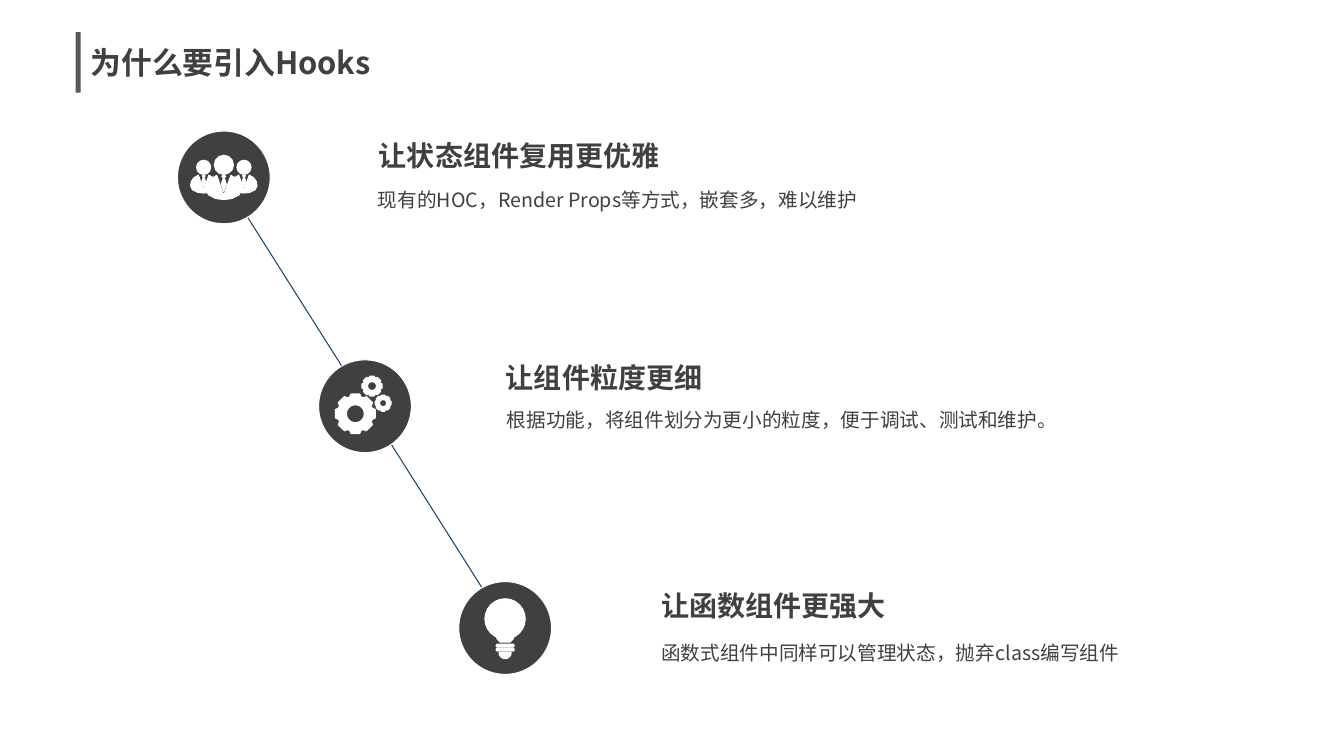
"""Build the slide on why Hooks were introduced: three linked icons with captions."""
from math import cos, pi, radians, sin

from lxml import etree
from pptx import Presentation
from pptx.dml.color import RGBColor
from pptx.enum import shapes, text
from pptx.oxml.ns import qn
from pptx.util import Inches, Pt

FONT = "Noto Sans CJK SC"
DARK = RGBColor(0x40, 0x40, 0x40)
GREY = RGBColor(0x59, 0x59, 0x59)
NAVY = RGBColor(0x1B, 0x43, 0x67)
WHITE = RGBColor(0xFF, 0xFF, 0xFF)
PRESET = shapes.MSO_SHAPE

HEADING = ("为什么要引入Hooks", 0.8, 0.38, 3.05, 0.47)
REASONS = [
    (("让状态组件复用更优雅", 3.66, 1.33, 3.39, 0.44),
     ("现有的HOC，Render Props等方式，嵌套多，难以维护", 3.65, 1.77, 5.59, 0.38)),
    (("让组件粒度更细", 4.92, 3.53, 2.74, 0.44),
     ("根据功能，将组件划分为更小的粒度，便于调试、测试和维护。", 4.93, 3.95, 5.57, 0.38)),
    (("让函数组件更强大", 6.46, 5.79, 3.24, 0.72),
     ("函数式组件中同样可以管理状态，抛弃class编写组件", 6.46, 6.26, 5.57, 0.63)),
]
DISCS = [(2.22, 1.76), (3.62, 4.03), (5.01, 6.23)]
DISC_RADIUS = 0.46
PEOPLE = [(2.22, 1.635, 1), (2.02, 1.66, 0.74), (2.42, 1.66, 0.74)]
HEAD_RADIUS = 0.095
BODY_HALF = [(0, 0.305), (0.07, 0.105), (0.13, 0.14), (0.165, 0.19),
             (0.175, 0.25), (0.15, 0.3), (0.08, 0.335), (0, 0.345)]
KNOT_HALF = [(0, 0.095), (0.02, 0.115), (0, 0.135)]
TIE_HALF = [(0, 0.135), (0.01, 0.145), (0.025, 0.195), (0, 0.265)]
GEARS = [(3.525, 4.105, 0.2), (3.69, 3.83, 0.1), (3.8, 4.0, 0.08)]
TOOTH = [(-18.5, 0.87), (-12, 1), (12, 1), (18.5, 0.87)]
BULB_RADIUS = 0.2
BULB_CENTRE = (5.01, 6.14)
NECK = [(4.92, 6.3), (4.93, 6.34), (4.96, 6.37), (5.06, 6.37), (5.09, 6.34), (5.1, 6.3)]
SCREW_TOPS = [6.39, 6.43]
CAP_CENTRE = (5.01, 6.475)


def paint(shape, fill, line=None, width=0.75):
    """Apply a flat fill and an optional outline."""
    shape.shadow.inherit = False
    shape.fill.solid()
    shape.fill.fore_color.rgb = fill
    if line is None:
        shape.line.fill.background()
    else:
        shape.line.color.rgb = line
        shape.line.width = Pt(width)


def add_text(page, content, size, bold=False, spacing=None, wrap=True):
    """Add a one-paragraph text box."""
    words, *place = content
    box = page.shapes.add_textbox(*map(Inches, place))
    frame = box.text_frame
    frame.word_wrap = wrap
    frame.auto_size = text.MSO_AUTO_SIZE.SHAPE_TO_FIT_TEXT
    para = frame.paragraphs[0]
    para.text = words
    para.line_spacing = spacing
    para.font.size = Pt(size)
    para.font.bold = bold
    para.font.color.rgb = DARK
    para.font.name = FONT
    defaults = para._p.pPr.find(qn("a:defRPr"))
    etree.SubElement(defaults, qn("a:ea"), typeface=FONT)


def add_preset(group, kind, place, fill=WHITE):
    """Add a white-outlined preset shape."""
    shape = group.shapes.add_shape(kind, *map(Inches, place))
    paint(shape, fill, WHITE)
    return shape


def add_circle(group, centre, radius, fill=WHITE):
    """Add a circle around a centre."""
    x, y = centre
    add_preset(group, PRESET.OVAL, (x - radius, y - radius, 2 * radius, 2 * radius), fill)


def add_outline(group, *contours, width=0.75):
    """Add a white outline made of one or more closed contours."""
    builder = None
    for contour in contours:
        start, *rest = [(Inches(x), Inches(y)) for x, y in contour]
        if builder is None:
            builder = group.shapes.build_freeform(*start)
        else:
            builder.move_to(*start)
        builder.add_line_segments(rest, close=True)
    paint(builder.convert_to_shape(), WHITE, WHITE, width)


def arc(centre, radius, sweep, steps):
    """Return points on an arc that starts at the right and runs clockwise."""
    x, y = centre
    angles = [sweep * step / steps for step in range(steps + 1)]
    return [(x + radius * cos(angle), y + radius * sin(angle)) for angle in angles]


def add_person(group, x, y, scale):
    """Draw a head, a body, and a tie with its knot."""
    add_circle(group, (x, y), HEAD_RADIUS * scale)
    for half in (BODY_HALF, KNOT_HALF, TIE_HALF):
        mirrored = half + [(-dx, dy) for dx, dy in half[-2:0:-1]]
        add_outline(group, [(x + dx * scale, y + dy * scale) for dx, dy in mirrored])


def add_gear(group, x, y, radius):
    """Draw an eight-toothed gear with a hole."""
    rim = []
    for turn in range(0, 360, 45):
        for offset, reach in TOOTH:
            angle = radians(turn + offset)
            rim.append((x + radius * reach * cos(angle), y + radius * reach * sin(angle)))
    add_outline(group, rim, arc((x, y), radius * 0.45, 2 * pi, 32), width=1)


def draw_people(group):
    """Draw the team icon."""
    for person in PEOPLE:
        add_person(group, *person)


def draw_gears(group):
    """Draw the gears icon."""
    for gear in GEARS:
        add_gear(group, *gear)


def draw_bulb(group):
    """Draw the light bulb icon."""
    add_circle(group, BULB_CENTRE, BULB_RADIUS)
    add_outline(group, NECK)
    for top in SCREW_TOPS:
        thread = add_preset(group, PRESET.ROUNDED_RECTANGLE, (4.92, top, 0.18, 0.03))
        thread.adjustments[0] = 0.5
    add_outline(group, arc(CAP_CENTRE, 0.06, pi, 16))


deck = Presentation()
deck.slide_width, deck.slide_height = Inches(13.33), Inches(7.5)
page = deck.slides.add_slide(deck.slide_layouts[6])
page.background.fill.solid()
page.background.fill.fore_color.rgb = WHITE

bar = page.shapes.add_shape(PRESET.RECTANGLE, *map(Inches, (0.75, 0.32, 0.05, 0.6)))
paint(bar, GREY)
add_text(page, HEADING, 22, bold=True, wrap=False)
for title, detail in REASONS:
    add_text(page, detail, 14, spacing=1.2)
    add_text(page, title, 20, bold=True)

link = page.shapes.add_connector(
    shapes.MSO_CONNECTOR.STRAIGHT, *map(Inches, (2.25, 1.83, 5.09, 6.32)))
link.line.color.rgb = NAVY
link.line.width = Pt(0.75)
etree.SubElement(link._element.spPr, qn("a:effectLst"))

for centre, draw_icon in zip(DISCS, (draw_people, draw_gears, draw_bulb)):
    icon = page.shapes.add_group_shape()
    add_circle(icon, centre, DISC_RADIUS, DARK)
    draw_icon(icon)

deck.save("out.pptx")
